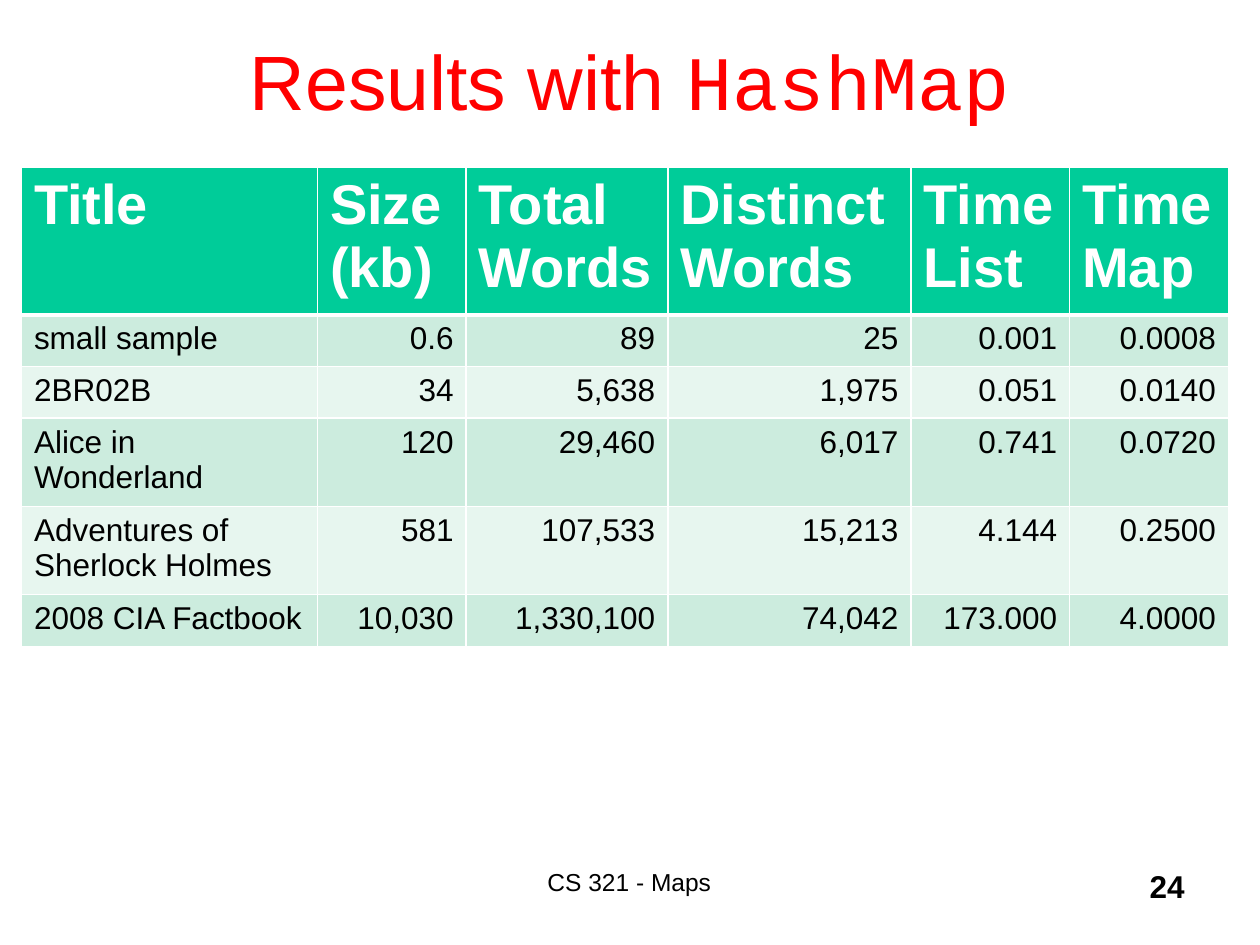
from lxml import etree
from pptx import Presentation
from pptx.dml.color import RGBColor
from pptx.enum.text import MSO_ANCHOR, PP_ALIGN
from pptx.oxml.ns import qn
from pptx.util import Inches, Pt

LEFT, CENTER, RIGHT = PP_ALIGN.LEFT, PP_ALIGN.CENTER, PP_ALIGN.RIGHT
TOP, MIDDLE = MSO_ANCHOR.TOP, MSO_ANCHOR.MIDDLE

RED = RGBColor(0xFF, 0x00, 0x00)
BLACK = RGBColor(0x00, 0x00, 0x00)
WHITE = RGBColor(0xFF, 0xFF, 0xFF)
HEADER_GREEN = RGBColor(0x00, 0xCC, 0x99)
BAND_COLORS = (RGBColor(0xCC, 0xEC, 0xDE), RGBColor(0xE7, 0xF6, 0xEF))

SANS, MONO = "Arial", "Courier New"

COLUMN_WIDTHS = (2.35, 1.18, 1.6, 1.93, 1.26, 1.26)
ROW_HEIGHTS = (1.17, 0.41, 0.41, 0.7, 0.7, 0.41)
# "\n" starts a paragraph, "\v" breaks a line within one.
HEADINGS = ("Title", "Size\v(kb)", "Total\nWords", "Distinct\vWords",
            "Time\vList", "Time\vMap")
RESULTS = (
    ("small sample", "0.6", "89", "25", "0.001", "0.0008"),
    ("2BR02B", "34", "5,638", "1,975", "0.051", "0.0140"),
    ("Alice in Wonderland", "120", "29,460", "6,017", "0.741", "0.0720"),
    ("Adventures of Sherlock Holmes", "581", "107,533", "15,213", "4.144", "0.2500"),
    ("2008 CIA Factbook", "10,030", "1,330,100", "74,042", "173.000", "4.0000"),
)


def add_span(para, text, size, color, bold=False, font=SANS):
    span = para.add_run()
    span.text = text
    span.font.name = font
    span.font.size = Pt(size)
    span.font.bold = bold
    span.font.color.rgb = color


def add_text_box(page, box, align, anchor=TOP):
    """Add an empty text box and return its first paragraph."""
    frame = page.shapes.add_textbox(*map(Inches, box)).text_frame
    frame.word_wrap = True
    frame.vertical_anchor = anchor
    para = frame.paragraphs[0]
    para.alignment = align
    return para


def add_title(page, box):
    para = add_text_box(page, box, CENTER, MIDDLE)
    add_span(para, "Results with ", 44, RED)
    add_span(para, "HashMap", 44, RED, font=MONO)


def add_footer(page, box):
    add_span(add_text_box(page, box, CENTER), "CS 321 - Maps", 14, BLACK)


def add_page_number(page, box):
    add_span(add_text_box(page, box, RIGHT), "24", 18, BLACK, bold=True)


def set_borders(cell, top, bottom):
    """Draw white borders; top and bottom are widths in points."""
    properties = cell._tc.get_or_add_tcPr()
    for side, width in (("L", 1), ("R", 1), ("T", top), ("B", bottom)):
        line = etree.SubElement(properties, qn(f"a:ln{side}"), w=str(Pt(width)))
        fill = etree.SubElement(line, qn("a:solidFill"))
        etree.SubElement(fill, qn("a:srgbClr"), val=str(WHITE))


def fill_cell(cell, text, size, color, bold, align):
    frame = cell.text_frame
    for index, block in enumerate(text.split("\n")):
        para = frame.add_paragraph() if index else frame.paragraphs[0]
        para.alignment = align
        for number, line in enumerate(block.split("\v")):
            if number:
                para.add_line_break()
            add_span(para, line, size, color, bold)


def add_results_table(page, box):
    rows = (HEADINGS, *RESULTS)
    table = page.shapes.add_table(len(rows), len(HEADINGS), *map(Inches, box)).table
    for column, width in zip(table.columns, COLUMN_WIDTHS):
        column.width = Inches(width)
    for row, height in zip(table.rows, ROW_HEIGHTS):
        row.height = Inches(height)
    for r, values in enumerate(rows):
        is_header = r == 0
        for c, text in enumerate(values):
            cell = table.cell(r, c)
            set_borders(cell, top=3 if r == 1 else 1, bottom=3 if is_header else 1)
            cell.fill.solid()
            if is_header:
                cell.fill.fore_color.rgb = HEADER_GREEN
                fill_cell(cell, text, 32, WHITE, True, LEFT)
            else:
                cell.fill.fore_color.rgb = BAND_COLORS[(r - 1) % 2]
                fill_cell(cell, text, 18, BLACK, False, RIGHT if c else LEFT)


def main():
    deck = Presentation()
    deck.slide_width, deck.slide_height = Inches(10), Inches(7.5)
    page = deck.slides.add_slide(deck.slide_layouts[6])
    add_title(page, (0.75, 0.01, 8.5, 1.25))
    add_footer(page, (3.08, 6.83, 3.83, 0.5))
    add_page_number(page, (7.42, 6.83, 2.08, 0.5))
    add_results_table(page, (0.17, 1.33, sum(COLUMN_WIDTHS), sum(ROW_HEIGHTS)))
    deck.save("out.pptx")


if __name__ == "__main__":
    main()
